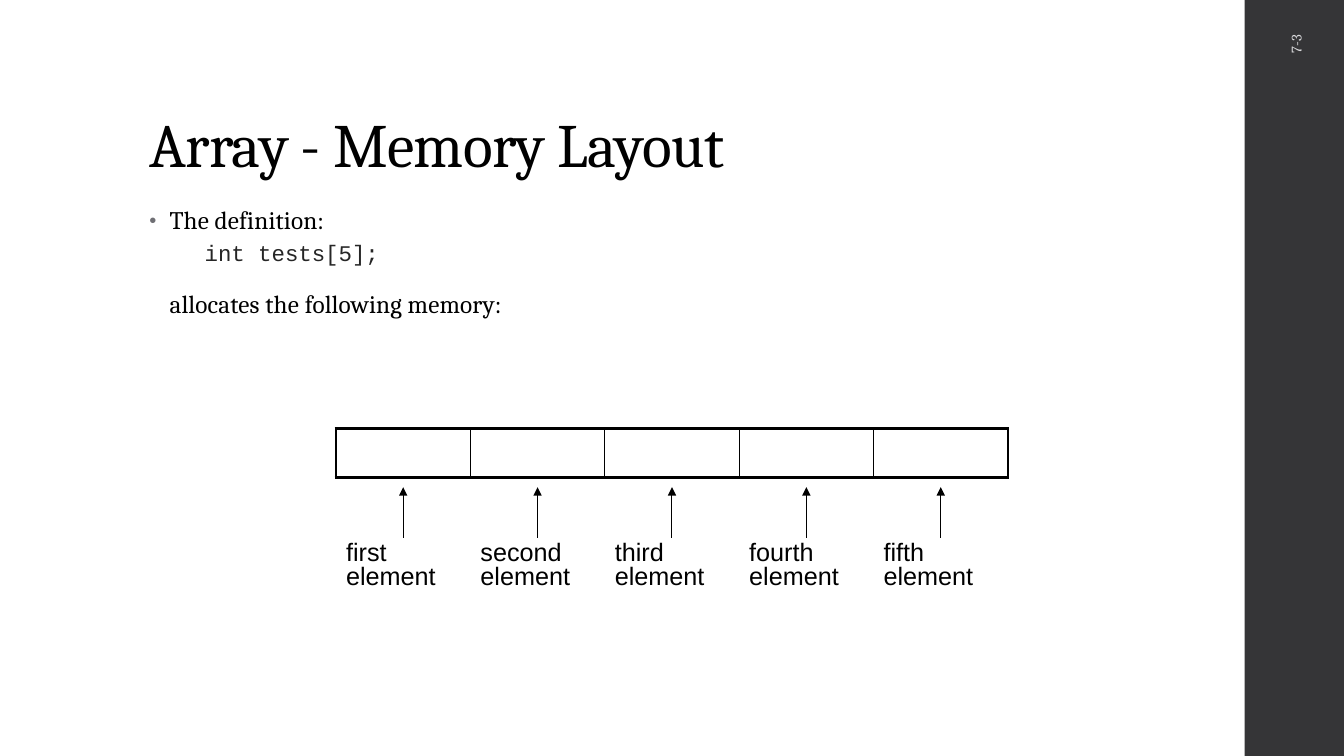
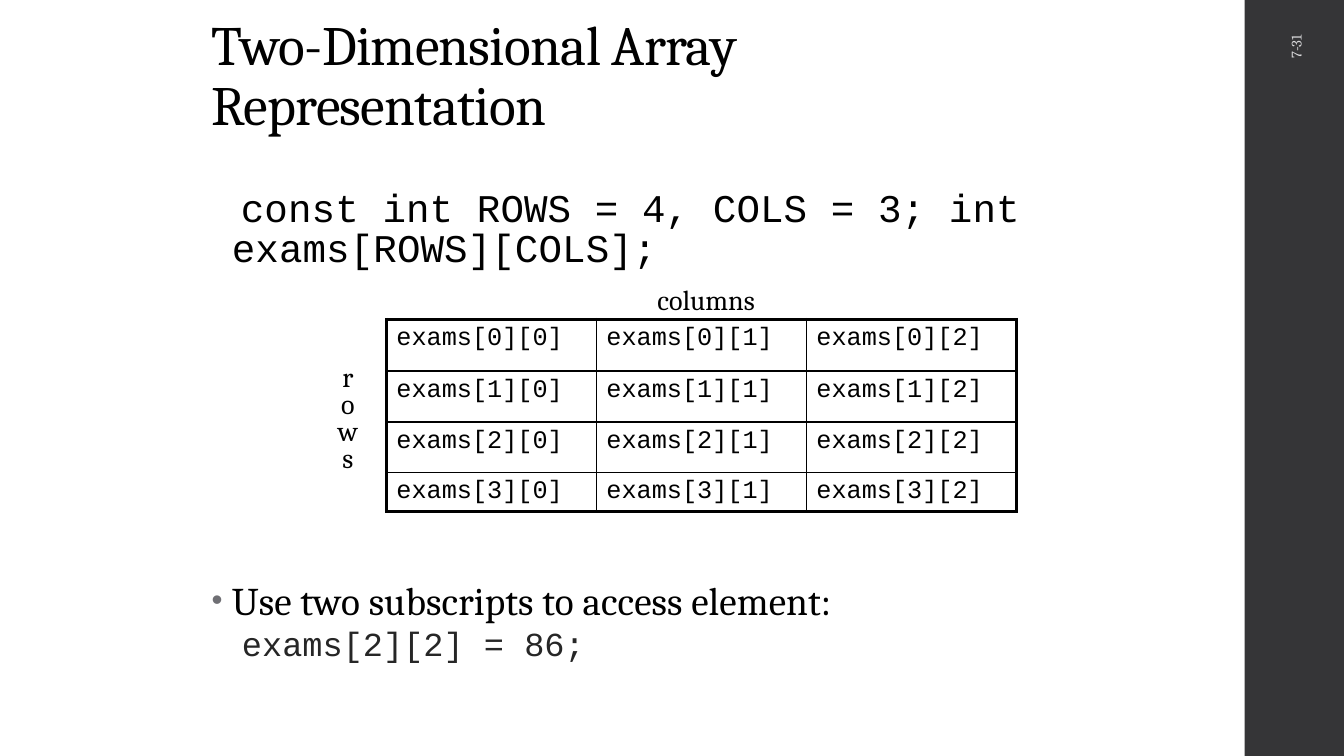
from lxml import etree
from pptx import Presentation
from pptx.dml.color import RGBColor
from pptx.enum.shapes import MSO_CONNECTOR, MSO_SHAPE
from pptx.enum.text import MSO_ANCHOR, MSO_AUTO_SIZE, PP_ALIGN
from pptx.oxml.ns import qn
from pptx.util import Pt

RECTANGLE = MSO_SHAPE.RECTANGLE
STRAIGHT = MSO_CONNECTOR.STRAIGHT
TOP, MIDDLE, BOTTOM = MSO_ANCHOR.TOP, MSO_ANCHOR.MIDDLE, MSO_ANCHOR.BOTTOM
LEFT, CENTER, RIGHT = PP_ALIGN.LEFT, PP_ALIGN.CENTER, PP_ALIGN.RIGHT
NO_AUTOFIT = MSO_AUTO_SIZE.NONE

BLACK = RGBColor(0x00, 0x00, 0x00)
CODE_GRAY = RGBColor(0x26, 0x26, 0x26)
BULLET_GRAY = RGBColor(0x6F, 0x6F, 0x74)
BAND_GRAY = RGBColor(0x35, 0x35, 0x37)
NUMBER_GRAY = RGBColor(0xD9, 0xD9, 0xDB)
SERIF, SANS, MONO = "Cambria", "Arial", "Courier New"

SLIDE_WIDTH, SLIDE_HEIGHT = 960, 540
BAND_LEFT = 889
NUMBER_BOX = (850.5, 78.5, 150, 29)
OUTER_LINE, INNER_LINE = 2.25, 1

# Content: boxes are (left, top, width, height) in points
LAYOUT_SLIDE = {
    "number": "7-3",
    "title": "Array - Memory Layout",
    "title_box": (99.5, 29, 763, 104),
    "title_size": 44,
    "body_box": (99.5, 144, 677, 343),
    "body": [
        dict(text="The definition:", size=18, bullet=True, margin=14.4,
             indent=-14.4, line=0.95, before=14, after=2),
        dict(text="int tests[5];", size=16, font=MONO, color=CODE_GRAY, level=1,
             margin=39.5, line=0.9, before=3, after=3, tracking=0),
        dict(text="allocates the following memory:", size=18, margin=14.4,
             line=0.95, before=14, after=2),
    ],
}
ELEMENT_LABELS = [f"{ordinal} element"
                  for ordinal in ("first", "second", "third", "fourth", "fifth")]
MEMORY_LEFT, MEMORY_TOP, MEMORY_HEIGHT, ELEMENT_WIDTH = 240, 306, 35, 96
LABEL_TOP, LABEL_HEIGHT, ARROW_LENGTH = 384, 66, 36

EXAMS_SLIDE = {
    "number": "7-31",
    "title": "Two-Dimensional Array Representation",
    "title_box": (144, 12, 612, 90),
    "title_size": 39.6,
    "body_box": (144, 132, 612, 354),
    "body": [
        dict(text="const int ROWS = 4, COLS = 3; int exams[ROWS][COLS];", size=28,
             font=MONO, margin=14.4, indent=6.5, line=0.86, after=2),
        dict(text="Use two subscripts to access element:", size=28, bullet=True,
             margin=14.4, indent=-14.4, line=0.8, before=223, after=2),
        dict(text="exams[2][2] = 86;", size=24, font=MONO, color=CODE_GRAY, level=1,
             margin=21.6, line=0.8, before=3, after=3, tracking=0),
    ],
}
EXAMS_LEFT, EXAMS_TOP, EXAMS_COLUMN_WIDTH = 276, 228, 150
EXAMS_ROW_HEIGHTS = [37, 36.5, 36, 28]
EXAMS = [[f"exams[{row}][{column}]" for column in range(3)] for row in range(4)]
COLUMNS_BOX = (469.5, 201.5, 78, 25)
ROWS_BOX = (233.5, 261.5, 30, 78)


def points(values):
    return [Pt(value) for value in values]


def style_font(paragraph, name, size, color, tracking=0):
    font = paragraph.font
    font.name, font.size = name, Pt(size)
    font.color.rgb = color
    properties = paragraph._p.get_or_add_pPr().find(qn("a:defRPr"))
    properties.set("spc", str(round(tracking * 100)))


def set_bullet(paragraph, bullet, margin, indent):
    properties = paragraph._p.get_or_add_pPr()
    properties.set("marL", str(Pt(margin)))
    properties.set("indent", str(Pt(indent)))
    if bullet:
        color = etree.SubElement(properties, qn("a:buClr"))
        etree.SubElement(color, qn("a:srgbClr"), val=str(BULLET_GRAY))
        etree.SubElement(properties, qn("a:buSzPct"), val="80000")
        etree.SubElement(properties, qn("a:buFont"), typeface=SANS)
        etree.SubElement(properties, qn("a:buChar"), char="•")
    else:
        etree.SubElement(properties, qn("a:buNone"))


def place(shape, box, anchor):
    shape.left, shape.top, shape.width, shape.height = points(box)
    frame = shape.text_frame
    frame.word_wrap = True
    frame.auto_size = NO_AUTOFIT
    frame.vertical_anchor = anchor
    return frame


def add_body_paragraph(paragraph, text, size, line, margin, indent=0, before=0,
                       after=0, font=SERIF, color=BLACK, level=0, bullet=False,
                       tracking=0.1):
    paragraph.text = text
    paragraph.level = level
    paragraph.alignment = LEFT
    paragraph.line_spacing = line
    paragraph.space_before, paragraph.space_after = Pt(before), Pt(after)
    set_bullet(paragraph, bullet, margin, indent)
    style_font(paragraph, font, size, color, tracking)


def add_band(slide, layout):
    """Draw the side band and move it to the shared layout."""
    band = slide.shapes.add_shape(
        RECTANGLE, *points((BAND_LEFT, 0, SLIDE_WIDTH - BAND_LEFT, SLIDE_HEIGHT)))
    band.shadow.inherit = False
    band.fill.solid()
    band.fill.fore_color.rgb = BAND_GRAY
    band.line.fill.background()
    layout.shapes.element.append(band.element)


def add_content_slide(presentation, layout, content):
    slide = presentation.slides.add_slide(layout)

    # Title
    frame = place(slide.shapes.title, content["title_box"], BOTTOM)
    title = frame.paragraphs[0]
    title.text = content["title"]
    title.alignment = LEFT
    title.line_spacing = 0.9
    style_font(title, SERIF, content["title_size"], BLACK, -0.5)

    # Body
    frame = place(slide.placeholders[1], content["body_box"], TOP)
    for index, item in enumerate(content["body"]):
        paragraph = frame.add_paragraph() if index else frame.paragraphs[0]
        add_body_paragraph(paragraph, **item)

    # Slide number
    number_box = slide.shapes.add_textbox(*points(NUMBER_BOX))
    number_box.rotation = 270
    number = place(number_box, NUMBER_BOX, MIDDLE).paragraphs[0]
    number.text = content["number"]
    number.alignment = RIGHT
    style_font(number, SERIF, 10.5, NUMBER_GRAY)
    return slide


def set_borders(cell, widths):
    properties = cell._tc.get_or_add_tcPr()
    for side, width in zip("LRTB", widths):
        line = etree.SubElement(properties, qn(f"a:ln{side}"), w=str(Pt(width)))
        if width:
            fill = etree.SubElement(line, qn("a:solidFill"))
            etree.SubElement(fill, qn("a:srgbClr"), val=str(BLACK))
        else:
            etree.SubElement(line, qn("a:noFill"))


def add_grid(slide, left, top, column_width, row_heights, texts, font=SANS,
             line=1, bordered=True):
    row_count, column_count = len(texts), len(texts[0])
    table = slide.shapes.add_table(
        row_count, column_count,
        *points((left, top, column_width * column_count, sum(row_heights)))).table
    table.first_row = table.horz_banding = False
    for column in table.columns:
        column.width = Pt(column_width)
    for row_index, row in enumerate(table.rows):
        row.height = Pt(row_heights[row_index])
        for column_index, cell in enumerate(row.cells):
            at_edge = (column_index == 0, column_index == column_count - 1,
                       row_index == 0, row_index == row_count - 1)
            set_borders(cell, [(OUTER_LINE if edge else INNER_LINE) if bordered else 0
                               for edge in at_edge])
            cell.fill.background()
            paragraph = cell.text_frame.paragraphs[0]
            paragraph.text = texts[row_index][column_index]
            paragraph.line_spacing = line
            style_font(paragraph, font, 18, BLACK)


def add_arrow(slide, x, start, end):
    arrow = slide.shapes.add_connector(STRAIGHT, *points((x, start, x, end)))
    arrow.line.color.rgb = BLACK
    arrow.line.width = Pt(0.75)
    properties = arrow.element.spPr
    etree.SubElement(properties.find(qn("a:ln")), qn("a:tailEnd"), type="triangle")
    etree.SubElement(properties, qn("a:effectLst"))


def add_axis_label(slide, box, lines, alignment, line_spacing):
    frame = place(slide.shapes.add_textbox(*points(box)), box, TOP)
    frame.margin_left = frame.margin_right = 0
    frame.margin_top = frame.margin_bottom = 0
    frame.text = "\n".join(lines)
    for paragraph in frame.paragraphs:
        paragraph.alignment = alignment
        paragraph.line_spacing = line_spacing
        style_font(paragraph, SERIF, 20, BLACK)


def main():
    presentation = Presentation()
    presentation.slide_width = Pt(SLIDE_WIDTH)
    presentation.slide_height = Pt(SLIDE_HEIGHT)
    layout = presentation.slide_layouts[1]

    # Memory layout of a one-dimensional array
    slide = add_content_slide(presentation, layout, LAYOUT_SLIDE)
    add_band(slide, layout)
    add_grid(slide, MEMORY_LEFT, MEMORY_TOP, ELEMENT_WIDTH, [MEMORY_HEIGHT],
             [[""] * len(ELEMENT_LABELS)])
    add_grid(slide, MEMORY_LEFT, LABEL_TOP, ELEMENT_WIDTH, [LABEL_HEIGHT],
             [ELEMENT_LABELS], line=0.85, bordered=False)
    for index in range(len(ELEMENT_LABELS)):
        add_arrow(slide, MEMORY_LEFT + (index + 0.5) * ELEMENT_WIDTH,
                  LABEL_TOP, LABEL_TOP - ARROW_LENGTH)

    # Rows and columns of a two-dimensional array
    slide = add_content_slide(presentation, layout, EXAMS_SLIDE)
    add_grid(slide, EXAMS_LEFT, EXAMS_TOP, EXAMS_COLUMN_WIDTH, EXAMS_ROW_HEIGHTS,
             EXAMS, font=MONO)
    add_axis_label(slide, COLUMNS_BOX, ["columns"], LEFT, 1)
    add_axis_label(slide, ROWS_BOX, "rows", CENTER, 0.8)

    presentation.save("out.pptx")


if __name__ == "__main__":
    main()
